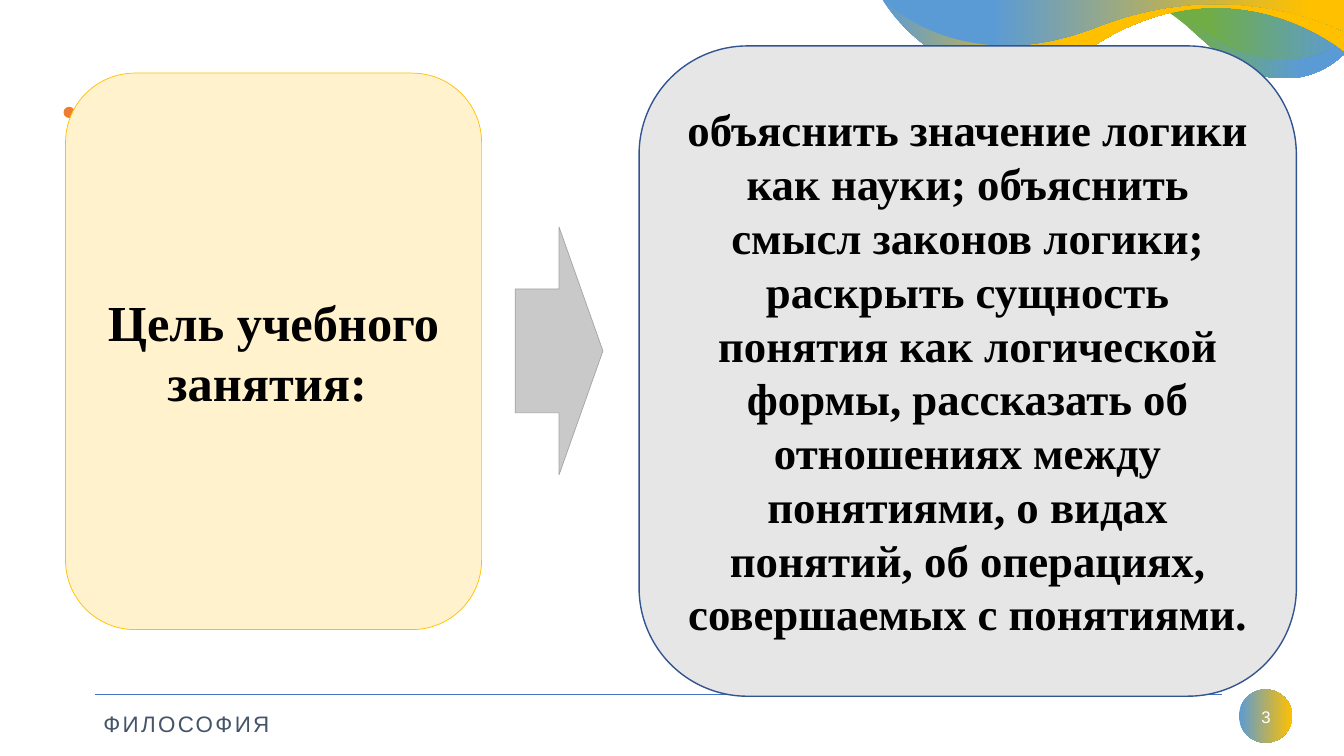
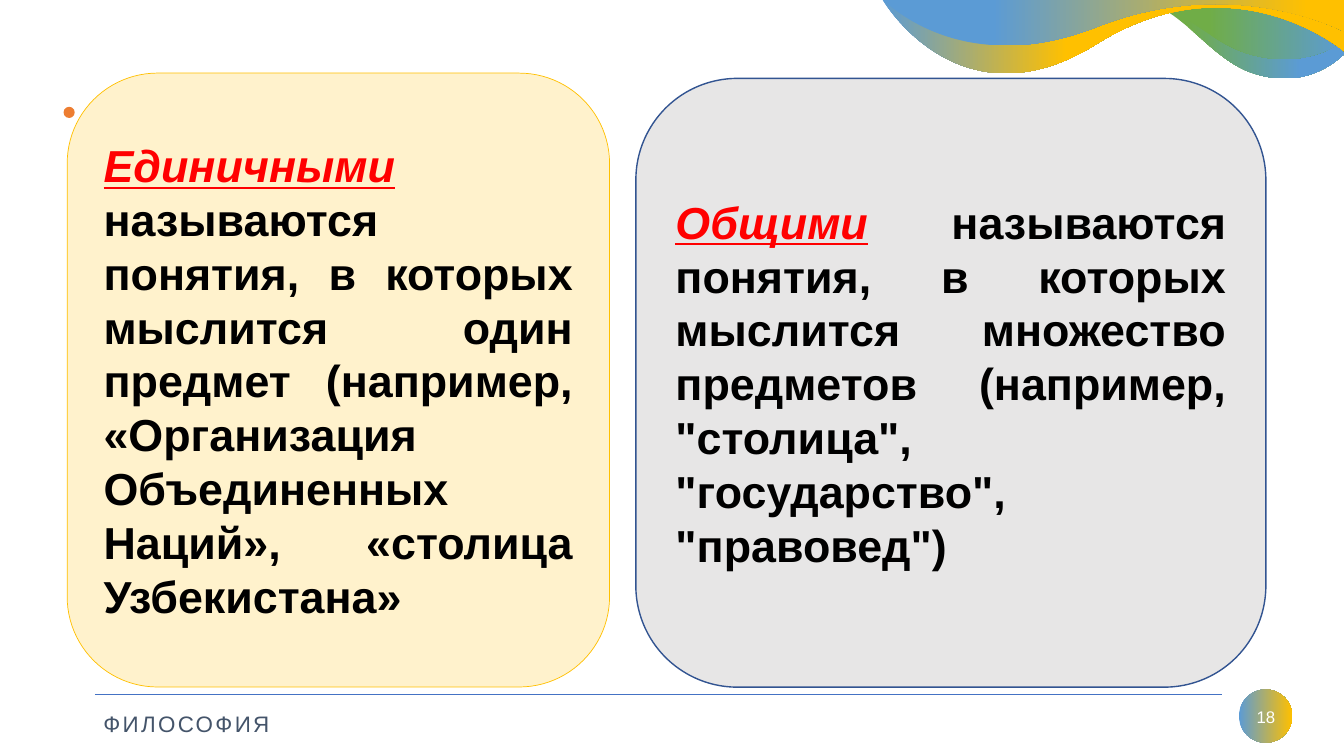
from dataclasses import dataclass

from lxml.etree import SubElement
from pptx import Presentation
from pptx.dml.color import RGBColor
from pptx.enum.shapes import MSO_CONNECTOR as Connector, MSO_SHAPE as Preset
from pptx.enum.text import MSO_ANCHOR as Anchor, MSO_AUTO_SIZE as AutoSize, PP_ALIGN as Align
from pptx.oxml.ns import qn
from pptx.util import Pt


@dataclass(frozen=True)
class Box:
    """A rectangle in points."""
    left: float
    top: float
    width: float
    height: float

    def lengths(self):
        """Return left, top, width and height as slide lengths."""
        return Pt(self.left), Pt(self.top), Pt(self.width), Pt(self.height)


@dataclass(frozen=True)
class Theme:
    """Colours, fonts and type sizes of the deck."""
    blue: str = "5B9BD5"
    gold: str = "FFC000"
    green: str = "70AD47"
    orange: str = "ED7D31"
    rule: str = "4472C4"
    slate: str = "44546A"
    cream: str = "FFF2CC"
    pale: str = "E7E6E6"
    navy: str = "325491"
    arrow: str = "C9C9C9"
    arrow_edge: str = "A5A5A5"
    white: str = "FFFFFF"
    ink: str = "000000"
    accent: str = "FF0000"
    sans: str = "Arial"
    serif: str = "Times New Roman"
    heading: int = 36
    body: int = 32
    footer: int = 16
    number: int = 12


THEME = Theme()
CREAM_CARD = (THEME.cream, THEME.gold, 0.5)
PALE_CARD = (THEME.pale, THEME.navy, 1)
SLIDE_SIZE = (960, 540)
LEAF_BOX = Box(804, -1.4, 156.4, 57.6)
WAVE_BOX = Box(629.7, -1.4, 330.7, 53.3)
FOOTER_BOX = Box(67.8, 492.5, 855.2, 38)
BULLET_BOX = Box(45.4, 76.3, 8, 8)
LEAF_CURVES = [
    [(156.4, 39.6), (156.4, 39.6), (132, 67), (92.2, 54)],
    [(92.2, 54), (58.4, 44), (37.5, 0), (0, 0)],
]
WAVE_CURVES = [
    [(0, 0), (0, 0), (54.7, 94.5), (153.4, 33)],
    [(153.4, 33), (252, -29), (330.7, 38.2), (330.7, 38.2)],
]


def rgb(code):
    """Turn a hex code into a colour."""
    return RGBColor.from_string(code)


def paint_gradient(shape, stops):
    """Fill a shape from left to right with two (position, colour) stops."""
    shape.fill.gradient()
    shape.fill.gradient_angle = 0
    for stop, (position, colour) in zip(shape.fill.gradient_stops, stops):
        stop.position = position
        stop.color.rgb = rgb(colour)
    shape.line.fill.background()
    shape.shadow.inherit = False


def add_preset(page, preset, box, fill, edge=None, weight=0):
    """Add a flat preset shape, with an outline if one is named."""
    shape = page.shapes.add_shape(preset, *box.lengths())
    shape.shadow.inherit = False
    shape.fill.solid()
    shape.fill.fore_color.rgb = rgb(fill)
    if edge:
        shape.line.color.rgb = rgb(edge)
        shape.line.width = Pt(weight)
    else:
        shape.line.fill.background()
    return shape


def write(frame, spans, font, size, align, bold=False):
    """Write one middle-anchored paragraph of (text, colour, emphasis) spans."""
    frame.vertical_anchor = Anchor.MIDDLE
    para = frame.paragraphs[0]
    para.alignment = align
    para.font.name = font
    para.font.size = Pt(size)
    para.font.bold = bold
    for text, colour, emphasis in spans:
        span = para.add_run()
        span.text = text
        span.font.color.rgb = rgb(colour)
        if emphasis:
            span.font.italic = True
            span.font.underline = True
    return para


def add_segment(outline, tag, points, squash):
    """Append one drawing command with its points to an outline."""
    segment = SubElement(outline, qn(tag))
    for x, y in points:
        SubElement(segment, qn("a:pt"), x=str(Pt(x)), y=str(Pt(y * squash)))


def add_ribbon(page, box, curves, squash, stops):
    """Add a curved ribbon hanging from the top of its box."""
    left, top, width, height = Box(box.left, box.top, box.width, box.height * squash).lengths()
    builder = page.shapes.build_freeform(left, top)
    builder.add_line_segments([(left + width, top), (left + width, top + height),
                               (left, top + height)])
    shape = builder.convert_to_shape()
    outline = shape.element.find(".//" + qn("a:path"))
    for segment in list(outline):
        outline.remove(segment)
    add_segment(outline, "a:moveTo", curves[0][:1], squash)
    for curve in curves:
        add_segment(outline, "a:cubicBezTo", curve[1:], squash)
    add_segment(outline, "a:lnTo", [(box.width, 0)], squash)
    SubElement(outline, qn("a:close"))
    paint_gradient(shape, stops)


def add_ribbons(page, leaf, wave):
    """Add the leaf and the wave, each with a flatter layer in front."""
    ribbons = [
        (leaf, LEAF_CURVES, 1, (0.28, THEME.green), (0.8, THEME.blue)),
        (leaf, LEAF_CURVES, 0.76, (0.38, THEME.green), (1, THEME.blue)),
        (wave, WAVE_CURVES, 1, (0, THEME.blue), (0.4, THEME.gold)),
        (wave, WAVE_CURVES, 0.63, (0.24, THEME.blue), (0.92, THEME.gold)),
    ]
    for box, curves, squash, *stops in ribbons:
        add_ribbon(page, box, curves, squash, stops)


def add_footer(page, box, number):
    """Add the rule, the course name and the number badge."""
    badge_left = box.left + box.width - box.height
    badge = page.shapes.add_shape(
        Preset.OVAL, *Box(badge_left, box.top, box.height, box.height).lengths())
    paint_gradient(badge, [(0, THEME.blue), (1, THEME.gold)])

    rule_top = box.top + 3.5
    rule = page.shapes.add_connector(
        Connector.STRAIGHT, Pt(box.left), Pt(rule_top), Pt(badge_left - 12.2), Pt(rule_top))
    rule.line.color.rgb = rgb(THEME.rule)
    rule.line.width = Pt(0.5)
    SubElement(rule.element.spPr, qn("a:effectLst"))

    course = page.shapes.add_textbox(*Box(box.left + 3, rule_top, 128, 31.7).lengths()).text_frame
    course.word_wrap = False
    course.auto_size = AutoSize.SHAPE_TO_FIT_TEXT
    course.margin_left = course.margin_right = course.margin_top = course.margin_bottom = Pt(3)
    para = write(course, [("ФИЛОСОФИЯ", THEME.slate, False)], THEME.sans, THEME.footer, Align.LEFT)
    para.line_spacing = 1.5
    para.runs[0].font._element.set("spc", "170")

    label_box = Box(badge_left - 3, box.top + 5, box.height + 6.6, 29)
    label = page.shapes.add_textbox(*label_box.lengths()).text_frame
    label.word_wrap = True
    write(label, [(str(number), THEME.white, False)], THEME.sans, THEME.number, Align.CENTER)


def add_page(deck, number):
    """Add a page with the shared decoration."""
    page = deck.slides.add_slide(deck.slide_layouts[6])
    add_preset(page, Preset.OVAL, BULLET_BOX, THEME.orange)
    add_footer(page, FOOTER_BOX, number)
    add_ribbons(page, LEAF_BOX, WAVE_BOX)
    return page


def add_card(page, box, style, spans, font, size, align):
    """Add a rounded card with bold text."""
    frame = add_preset(page, Preset.ROUNDED_RECTANGLE, box, *style).text_frame
    frame.word_wrap = True
    write(frame, spans, font, size, align, bold=True)


def add_goal_page(deck, number, goal, details):
    """Add a page where an arrow leads from the goal to its details."""
    page = add_page(deck, number)
    add_card(page, Box(46.8, 52.2, 297.2, 397.5), CREAM_CARD, [(goal, THEME.ink, False)],
             THEME.serif, THEME.heading, Align.CENTER)
    add_preset(page, Preset.RIGHT_ARROW, Box(368, 162.2, 62.7, 177),
               THEME.arrow, THEME.arrow_edge, 0.5)
    add_card(page, Box(456.5, 32.8, 469.5, 464.5), PALE_CARD, [(details, THEME.ink, False)],
             THEME.serif, THEME.body, Align.CENTER)


def add_definitions_page(deck, number, definitions):
    """Add a page with two (term, meaning) cards side by side."""
    page = add_page(deck, number)
    boxes = (Box(48, 52.2, 387.4, 438.5), Box(454.2, 56, 450, 434.8))
    for box, style, (term, meaning) in zip(boxes, (CREAM_CARD, PALE_CARD), definitions):
        spans = [(term, THEME.accent, True), (" " + meaning, THEME.ink, False)]
        add_card(page, box, style, spans, THEME.sans, THEME.body, Align.JUSTIFY)


def main():
    """Build and save the deck."""
    deck = Presentation()
    deck.slide_width, deck.slide_height = map(Pt, SLIDE_SIZE)
    add_goal_page(
        deck, 3, "Цель учебного занятия: ",
        "объяснить значение логики как науки; объяснить смысл законов логики; "
        "раскрыть сущность понятия как логической формы, рассказать об отношениях "
        "между понятиями, о видах понятий, об операциях, совершаемых с понятиями.")
    add_definitions_page(deck, 18, [
        ("Единичными", "называются понятия, в которых мыслится один предмет (например, "
                       "«Организация Объединенных Наций», «столица Узбекистана»"),
        ("Общими", "называются понятия, в которых мыслится множество предметов (например, "
                   "\"столица\", \"государство\", \"правовед\")"),
    ])
    deck.save("out.pptx")


if __name__ == "__main__":
    main()
